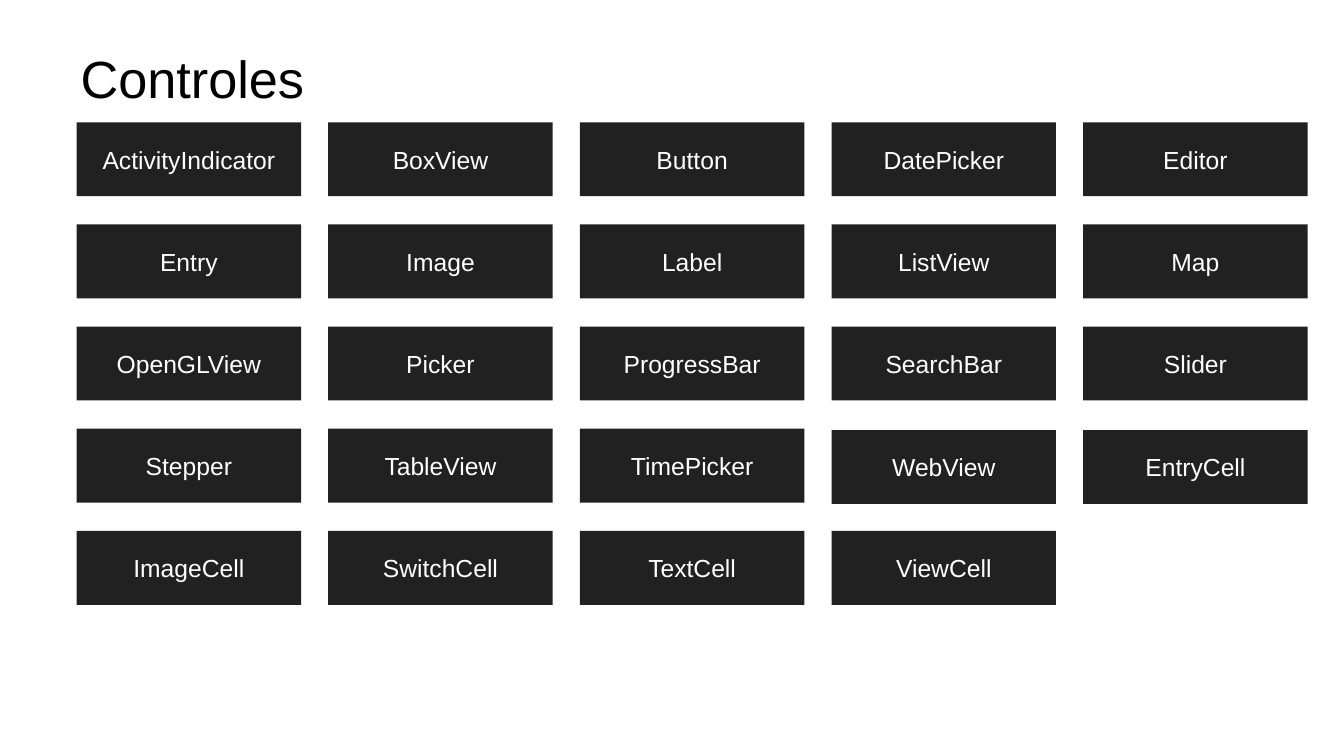
from dataclasses import dataclass

from pptx import Presentation
from pptx.dml.color import RGBColor
from pptx.enum.shapes import MSO_SHAPE as Shape
from pptx.enum.text import MSO_ANCHOR as Anchor, MSO_AUTO_SIZE as Fit, PP_ALIGN as Align
from pptx.util import Inches, Pt

FONT = "Arial"
DARK, WHITE, BLACK = "212121", "FFFFFF", "000000"

# Slide: 16 by 9
PAGE_W = 10
PAGE_H = PAGE_W * 9 / 16

# Grid: columns spread evenly from LEFT to RIGHT, rows at a fixed pitch
COLS = 5
LEFT, RIGHT, TOP = 0.57, 9.73, 0.91
WIDE, HIGH = 1.67, 0.55
STEP_X = (RIGHT - LEFT - WIDE) / (COLS - 1)
STEP_Y = 0.76

# Tiles that sit slightly below their row
DROP = 0.01
LOW = {"WebView", "EntryCell"}

NAMES = [
    "ActivityIndicator", "BoxView", "Button", "DatePicker", "Editor",
    "Entry", "Image", "Label", "ListView", "Map",
    "OpenGLView", "Picker", "ProgressBar", "SearchBar", "Slider",
    "Stepper", "TableView", "TimePicker", "WebView", "EntryCell",
    "ImageCell", "SwitchCell", "TextCell", "ViewCell",
]


@dataclass
class Tile:
    name: str
    x: float
    y: float


def color(code: str) -> RGBColor:
    return RGBColor.from_string(code)


def write(shape, text: str, *, size: float, ink: str, align=Align.LEFT,
          anchor=Anchor.MIDDLE, pad_y: float = 0.05) -> None:
    frame = shape.text_frame
    frame.text = text
    frame.word_wrap = True
    frame.auto_size = Fit.NONE
    frame.vertical_anchor = anchor
    frame.margin_left = frame.margin_right = Inches(0.1)
    frame.margin_top = frame.margin_bottom = Inches(pad_y)
    para = frame.paragraphs[0]
    para.alignment = align
    font = para.runs[0].font
    font.name, font.size = FONT, Pt(size)
    font.color.rgb = color(ink)


def draw(slide, tile: Tile) -> None:
    box = slide.shapes.add_shape(Shape.ROUNDED_RECTANGLE, Inches(tile.x), Inches(tile.y),
                                 Inches(WIDE), Inches(HIGH))
    box.adjustments[0] = 0
    box.shadow.inherit = False
    box.fill.solid()
    box.fill.fore_color.rgb = color(DARK)
    box.line.fill.background()
    write(box, tile.name, size=13.2, ink=WHITE, align=Align.CENTER)


def main() -> None:
    deck = Presentation()
    deck.slide_width, deck.slide_height = Inches(PAGE_W), Inches(PAGE_H)
    slide = deck.slides.add_slide(deck.slide_layouts[5])
    slide.background.fill.solid()
    slide.background.fill.fore_color.rgb = color(WHITE)

    # Title
    title = slide.shapes.title
    title.left, title.top = Inches(0.5), Inches(0.31)
    title.width, title.height = Inches(9), Inches(0.6)
    write(title, "Controles", size=28, ink=BLACK, anchor=Anchor.BOTTOM, pad_y=0.1)

    # Control tiles
    for i, name in enumerate(NAMES):
        row, col = divmod(i, COLS)
        y = TOP + row * STEP_Y + (DROP if name in LOW else 0)
        draw(slide, Tile(name, LEFT + col * STEP_X, y))

    deck.save("out.pptx")


if __name__ == "__main__":
    main()
